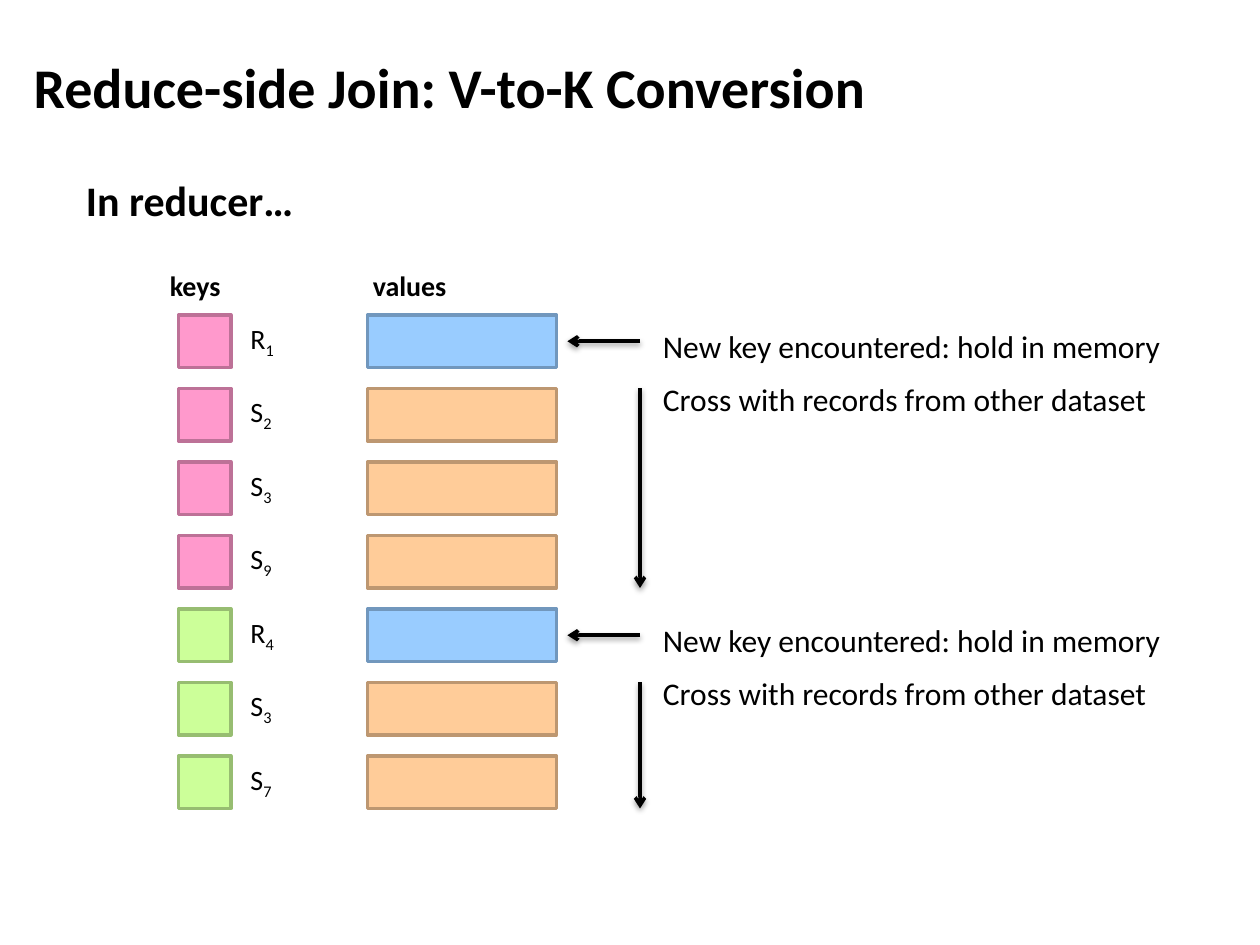
from lxml.etree import SubElement
from pptx import Presentation
from pptx.dml.color import RGBColor
from pptx.enum.shapes import MSO_CONNECTOR, MSO_SHAPE
from pptx.enum.text import MSO_ANCHOR, MSO_AUTO_SIZE, PP_ALIGN
from pptx.oxml.ns import qn
from pptx.util import Pt

FONT = "Calibri"
BLACK = RGBColor(0x00, 0x00, 0x00)
PINK = (RGBColor(0xFF, 0x99, 0xCC), RGBColor(0xBD, 0x71, 0x97))
GREEN = (RGBColor(0xCC, 0xFF, 0x99), RGBColor(0x97, 0xBD, 0x71))
BLUE = (RGBColor(0x99, 0xCC, 0xFF), RGBColor(0x71, 0x97, 0xBD))
ORANGE = (RGBColor(0xFF, 0xCC, 0x99), RGBColor(0xBD, 0x97, 0x71))

ROW_HEIGHT = 30
ROW_PITCH = 42
GROUPS = [
    (PINK, ["R1", "S2", "S3", "S9"]),
    (GREEN, ["R4", "S3", "S7"]),
]


def add_run(p, text, size, bold=False):
    r = p.add_run()
    r.text = text
    r.font.name = FONT
    r.font.size = Pt(size)
    r.font.bold = bold
    r.font.color.rgb = BLACK
    return r


def add_label(s, x, y, w, h, text, size, bold=False, subscript=""):
    tf = s.shapes.add_textbox(Pt(x), Pt(y), Pt(w), Pt(h)).text_frame
    tf.word_wrap = False
    tf.auto_size = MSO_AUTO_SIZE.SHAPE_TO_FIT_TEXT
    p = tf.paragraphs[0]
    add_run(p, text, size, bold)
    if subscript:
        r = add_run(p, subscript, size)
        r._r.get_or_add_rPr().set("baseline", "-25000")


def add_box(s, x, y, w, colors):
    fill, line = colors
    sp = s.shapes.add_shape(MSO_SHAPE.RECTANGLE, Pt(x), Pt(y), Pt(w), Pt(ROW_HEIGHT))
    sp.shadow.inherit = False
    sp.fill.solid()
    sp.fill.fore_color.rgb = fill
    sp.line.color.rgb = line
    sp.line.width = Pt(2)


def add_arrow(s, x1, y1, x2, y2):
    """Black arrow with an open head and a soft shadow below it."""
    cxn = s.shapes.add_connector(MSO_CONNECTOR.STRAIGHT, Pt(x1), Pt(y1), Pt(x2), Pt(y2))
    cxn.line.color.rgb = BLACK
    cxn.line.width = Pt(2)
    sp_pr = cxn._element.spPr
    SubElement(sp_pr.find(qn("a:ln")), qn("a:tailEnd"), type="arrow")
    effects = SubElement(sp_pr, qn("a:effectLst"))
    shadow = SubElement(effects, qn("a:outerShdw"), blurRad="40000", dist="20000",
                        dir="5400000", rotWithShape="0")
    color = SubElement(shadow, qn("a:srgbClr"), val=str(BLACK))
    SubElement(color, qn("a:alpha"), val="38000")


def add_title(s, x, y, w, h):
    sp = s.shapes.title
    sp.left, sp.top, sp.width, sp.height = Pt(x), Pt(y), Pt(w), Pt(h)
    tf = sp.text_frame
    tf.auto_size = MSO_AUTO_SIZE.NONE
    tf.vertical_anchor = MSO_ANCHOR.MIDDLE
    p = tf.paragraphs[0]
    p.alignment = PP_ALIGN.LEFT
    add_run(p, "Reduce-side Join: V-to-K Conversion", 32, bold=True)


def add_headings(s, x, y):
    add_label(s, x, y, 166, 36, "In reducer…", 24, bold=True)
    add_label(s, x + 48, y + 54, 52, 27, "keys", 16, bold=True)
    add_label(s, x + 164, y + 54, 66, 27, "values", 16, bold=True)


def add_records(s, x, y, key_colors, records):
    for i, (dataset, number) in enumerate(records):
        top = y + i * ROW_PITCH
        add_box(s, x, top, 30, key_colors)
        add_label(s, x + 34, top, 29, 27, dataset, 16, subscript=number)
        add_box(s, x + 108, top, 108, BLUE if dataset == "R" else ORANGE)


def add_notes(s, x, y, row_count):
    """Arrow to the first row, arrow down along the other rows, and their texts."""
    middle = y + ROW_HEIGHT / 2
    bottom = y + (row_count - 1) * ROW_PITCH + ROW_HEIGHT
    add_arrow(s, x, middle, x - 41.5, middle)
    add_label(s, x + 6, y + 3.5, 304, 29, "New key encountered: hold in memory", 18)
    add_arrow(s, x, y + ROW_PITCH, x, bottom)
    add_label(s, x + 6, y + 33.5, 301, 29, "Cross with records from other dataset", 18)


def main():
    prs = Presentation()
    prs.slide_width, prs.slide_height = Pt(720), Pt(540)
    s = prs.slides.add_slide(prs.slide_layouts[5])
    add_title(s, 12, 9, 684, 80.5)
    add_headings(s, 42, 96)
    top = 180
    for key_colors, records in GROUPS:
        add_records(s, 102, top, key_colors, records)
        add_notes(s, 365.75, top, len(records))
        top += len(records) * ROW_PITCH
    prs.save("out.pptx")


if __name__ == "__main__":
    main()
